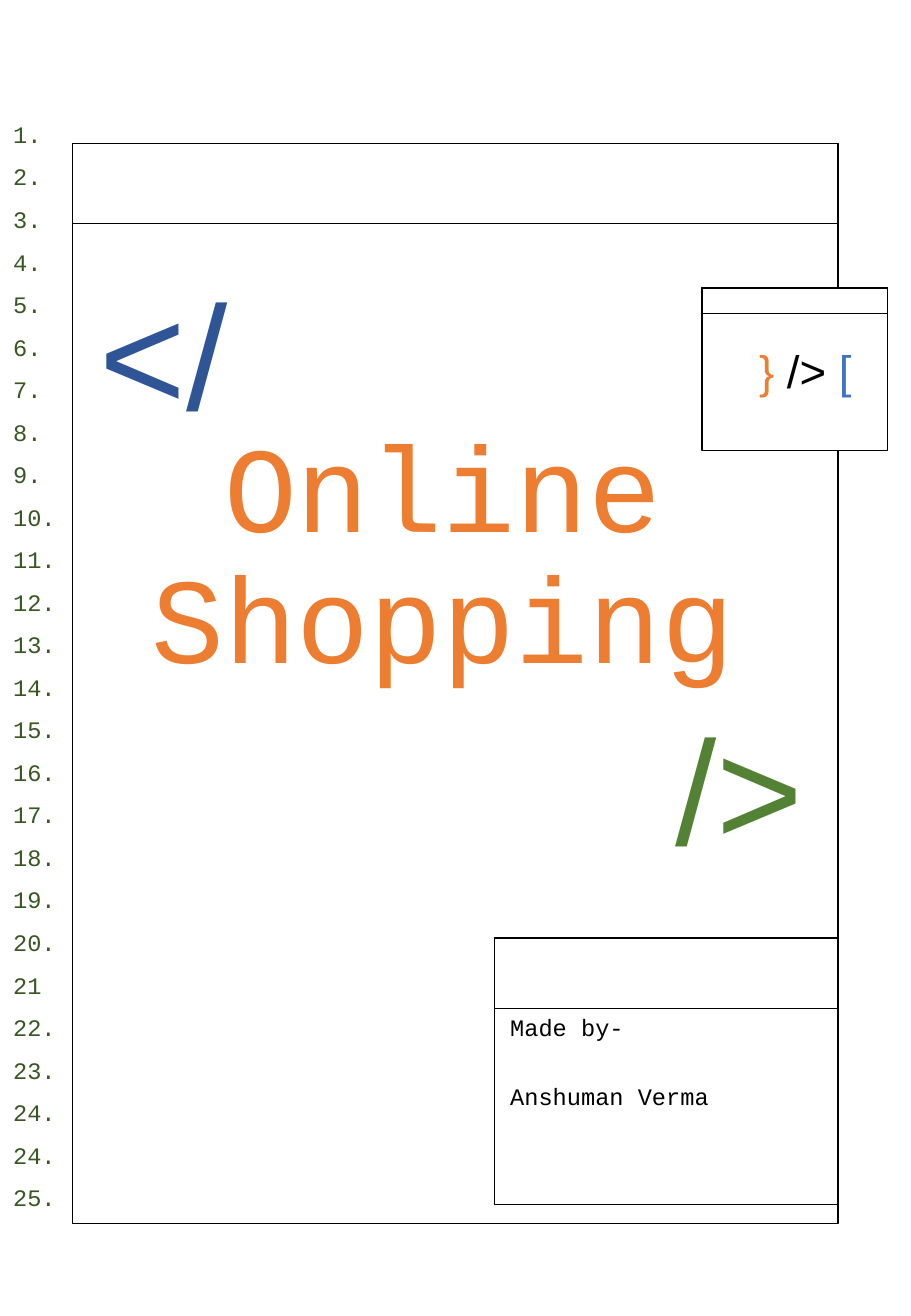
from dataclasses import dataclass

from pptx import Presentation
from pptx.dml.color import RGBColor
from pptx.enum.shapes import MSO_SHAPE
from pptx.enum.text import MSO_ANCHOR, MSO_AUTO_SIZE, PP_ALIGN
from pptx.util import Inches, Pt


@dataclass(frozen=True)
class Theme:
    code: str = "Courier New"
    sans: str = "Arial"
    white: str = "FFFFFF"
    black: str = "000000"
    navy: str = "2F5597"
    blue: str = "4472C4"
    green: str = "548235"
    moss: str = "385723"
    orange: str = "ED7D31"
    head: int = 72
    mark: int = 88
    sign: int = 27
    body: int = 14
    rule: float = 0.75
    pad: float = 0.07


class Cover:
    def __init__(self, deck, theme):
        self.theme = theme
        self.slide = deck.slides.add_slide(deck.slide_layouts[0])
        self.shapes = self.slide.shapes

    def style(self, font, name, size, color):
        font.name, font.size = name, Pt(size)
        font.color.rgb = RGBColor.from_string(color)

    def panel(self, left, top, width, height):
        box = self.shapes.add_shape(
            MSO_SHAPE.RECTANGLE, *map(Inches, (left, top, width, height)))
        box.shadow.inherit = False
        box.fill.solid()
        box.fill.fore_color.rgb = RGBColor.from_string(self.theme.white)
        box.line.color.rgb = RGBColor.from_string(self.theme.black)
        box.line.width = Pt(self.theme.rule)

    def window(self, left, top, width, height, bar):
        for tall in (height, bar):
            self.panel(left, top, width, tall)

    def frame(self, shape, pads=None, anchor=MSO_ANCHOR.TOP):
        frame = shape.text_frame
        frame.word_wrap = True
        frame.auto_size = MSO_AUTO_SIZE.NONE
        frame.vertical_anchor = anchor
        pads = pads or (self.theme.pad,) * 4
        (frame.margin_left, frame.margin_top,
         frame.margin_right, frame.margin_bottom) = map(Inches, pads)
        return frame

    def label(self, frame, lines, name, size, color,
              align=PP_ALIGN.LEFT, space=0.9, gap=0):
        frame.text = "\n".join(lines)
        for spot, para in enumerate(frame.paragraphs):
            para.alignment = align
            para.line_spacing = space
            para.space_before = Pt(gap if spot else 0)
            self.style(para.font, name, size, color)

    def box(self, *place):
        return self.shapes.add_textbox(*map(Inches, place))

    def holder(self, index, *place):
        shape = self.slide.placeholders[index]
        shape.left, shape.top, shape.width, shape.height = map(Inches, place)
        # Bring the placeholder in front of the windows
        self.shapes._spTree.append(shape._element)
        return shape

    def mark(self, text, color, *place):
        frame = self.frame(self.box(*place), anchor=MSO_ANCHOR.MIDDLE)
        self.label(frame, [text], self.theme.sans, self.theme.mark, color)

    def sign(self, parts, *place):
        para = self.frame(self.box(*place)).paragraphs[0]
        para.alignment, para.line_spacing = PP_ALIGN.CENTER, 0.9
        for text, color in parts:
            run = para.add_run()
            run.text = text
            self.style(run.font, self.theme.sans, self.theme.sign, color)


def main():
    deck = Presentation()
    deck.slide_width, deck.slide_height = Inches(7.5), Inches(10.83)
    theme = Theme()
    cover = Cover(deck, theme)

    # Windows with title bars
    cover.window(0.6, 1.18, 6.3, 8.89, 0.66)
    cover.window(4.07, 7.72, 2.83, 2.19, 0.58)
    cover.window(5.78, 2.37, 1.53, 1.34, 0.21)

    # Code marks
    cover.mark("</", theme.navy, 0.75, 2.48, 1.53, 1.01)
    cover.mark("/>", theme.green, 5.49, 5.83, 1.53, 1.47)
    cover.sign([("}", theme.orange), (" /> ", theme.black),
                ("[", theme.blue)], 6.13, 2.8, 1, 0.61)

    # Title and author
    title = cover.frame(cover.holder(0, 1.16, 3.45, 4.97, 2.49))
    cover.label(title, ["Online Shopping"], theme.code, theme.head,
                theme.orange, PP_ALIGN.CENTER)
    pads = (theme.pad, 0.68, theme.pad, theme.pad)
    author = cover.frame(cover.holder(1, 4.13, 7.68, 2.5, 2.62), pads)
    cover.label(author, ["Made by-", "Anshuman Verma"], theme.code,
                theme.body, theme.black, gap=26)

    # Line numbers
    count = [*range(1, 25), 24, 25]
    lines = [f"{num}" if num == 21 else f"{num}." for num in count]
    gutter = cover.frame(cover.box(0.01, 0.82, 0.55, 9.61),
                         (0.1, 0.05, 0, 0.05))
    cover.label(gutter, lines, theme.code, theme.body, theme.moss, space=1.5)

    deck.save("out.pptx")


if __name__ == "__main__":
    main()
